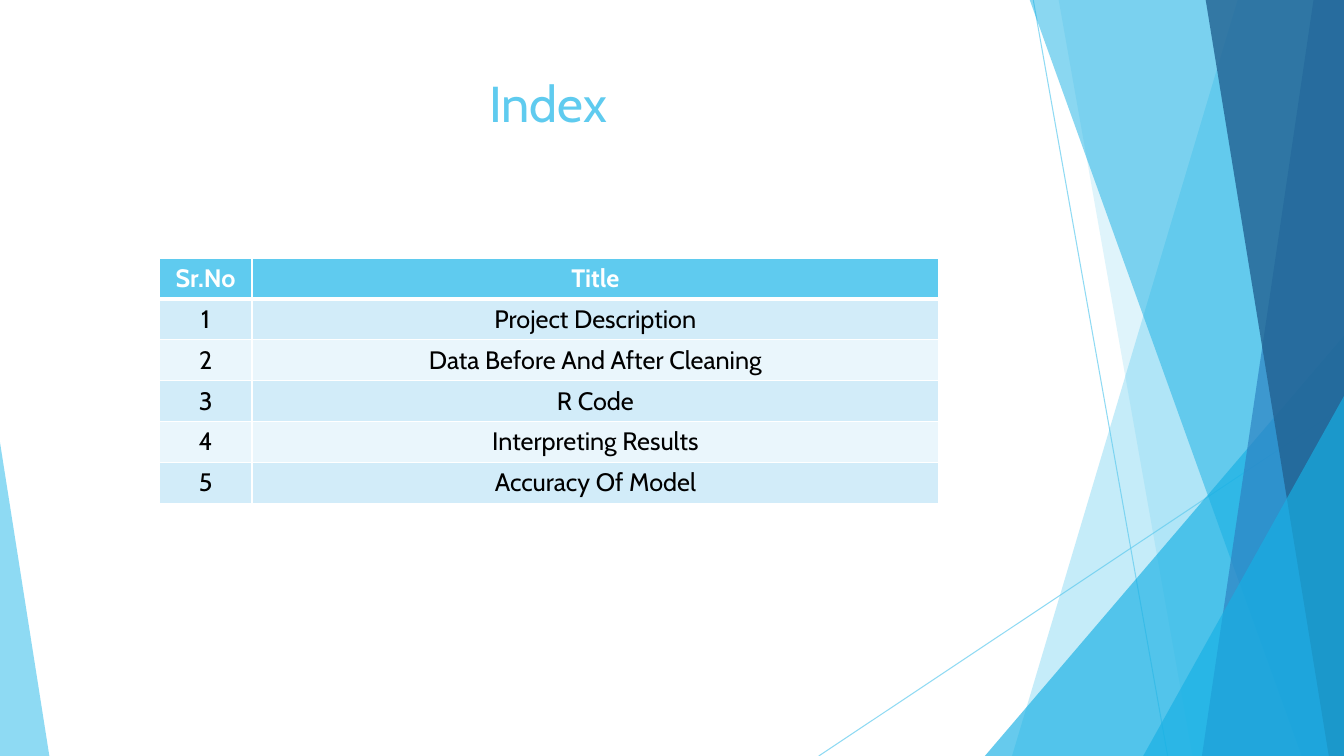
"""Builds an index slide with a table of sections and translucent blue facets."""
import pptx
import pptx.dml.color
import pptx.enum.shapes
import pptx.enum.text
import pptx.oxml
import pptx.oxml.ns
import pptx.util

RGB = pptx.dml.color.RGBColor
SKY = RGB(0x5F, 0xCB, 0xEF)
CYAN = RGB(0x17, 0xB0, 0xE4)
BLUE = RGB(0x2E, 0x83, 0xC3)
NAVY = RGB(0x22, 0x62, 0x92)
BAND_DARK = RGB(0xD2, 0xEC, 0xF9)
BAND_LIGHT = RGB(0xEA, 0xF6, 0xFC)
WHITE = RGB(0xFF, 0xFF, 0xFF)
BLACK = RGB(0, 0, 0)


class IndexSlide:
    """Style and current slide; lengths are percentages of the slide's size."""

    font = "Cabin"

    def __init__(self, deck):
        self.width, self.height = deck.slide_width, deck.slide_height
        self.slide = deck.slides.add_slide(deck.slide_layouts[5])
        self.shapes = self.slide.shapes

    def x(self, share):
        return round(self.width * share / 100)

    def y(self, share):
        return round(self.height * share / 100)

    def box(self, left, top, width, height):
        return self.x(left), self.y(top), self.x(width), self.y(height)

    def tint(self, fill, color, opacity):
        fill.solid()
        fill.fore_color.rgb = color
        shade = fill._xPr.find(".//" + pptx.oxml.ns.qn("a:srgbClr"))
        alpha = shade.makeelement(pptx.oxml.ns.qn("a:alpha"), {"val": str(opacity * 1000)})
        shade.append(alpha)

    def add_words(self, frame, words, size, color, bold=False):
        paragraph = frame.paragraphs[0]
        paragraph.alignment = pptx.enum.text.PP_ALIGN.CENTER
        run = paragraph.add_run()
        run.text = words
        run.font.name, run.font.size = self.font, pptx.util.Pt(size)
        run.font.bold, run.font.color.rgb = bold, color

    def ray(self, start, end):
        ray = self.shapes.add_connector(
            pptx.enum.shapes.MSO_CONNECTOR.STRAIGHT,
            self.x(start[0]), self.y(start[1]), self.x(end[0]), self.y(end[1]))
        ray.line.width = pptx.util.Pt(0.75)
        self.tint(ray.line.fill, SKY, 70)
        properties = ray._element.spPr
        properties.append(properties.makeelement(pptx.oxml.ns.qn("a:effectLst"), {}))

    def finish(self, facet, color, opacity):
        facet.shadow.inherit = False
        facet.line.fill.background()
        self.tint(facet.fill, color, opacity)

    def facet(self, top_x, bottom_x, color, opacity):
        top = self.y(-0.1)
        outline = self.shapes.build_freeform(self.x(top_x), top, scale=1.0)
        outline.add_line_segments([
            (self.width, top), (self.width, self.height), (self.x(bottom_x), self.height)])
        self.finish(outline.convert_to_shape(), color, opacity)

    def corner(self, left, top, width, apex, color, opacity):
        corner = self.shapes.add_shape(
            pptx.enum.shapes.MSO_SHAPE.ISOSCELES_TRIANGLE,
            *self.box(left, top, width, 100 - top))
        corner.adjustments[0] = apex
        self.finish(corner, color, opacity)

    def title(self, words, *place):
        heading = self.shapes.title
        heading.left, heading.top, heading.width, heading.height = self.box(*place)
        heading.text_frame.word_wrap = True
        heading.text_frame.vertical_anchor = pptx.enum.text.MSO_ANCHOR.TOP
        self.add_words(heading.text_frame, words, 36, SKY)
        self.shapes._spTree.append(heading._element)

    def border(self, cell, side, points):
        cell._tc.get_or_add_tcPr().append(pptx.oxml.parse_xml(
            f'<a:ln{side} {pptx.oxml.ns.nsdecls("a")} w="{pptx.util.Pt(points)}">'
            f'<a:solidFill><a:srgbClr val="{WHITE}"/></a:solidFill></a:ln{side}>'))

    def table(self, entries, left, top, column_widths, row_height):
        place = self.box(left, top, sum(column_widths), row_height * len(entries))
        grid = self.shapes.add_table(len(entries), len(column_widths), *place).table
        for column, share in zip(grid.columns, column_widths):
            column.width = self.x(share)
        for index, entry in enumerate(entries):
            header = index == 0
            band = SKY if header else BAND_DARK if index % 2 else BAND_LIGHT
            for cell, words in zip(grid.rows[index].cells, entry):
                for side in "LRTB":
                    under_header = (index, side) in ((0, "B"), (1, "T"))
                    self.border(cell, side, 3 if under_header else 1)
                cell.fill.solid()
                cell.fill.fore_color.rgb = band
                self.add_words(cell.text_frame, words, 18, WHITE if header else BLACK, header)


deck = pptx.Presentation()
deck.slide_width, deck.slide_height = pptx.util.Inches(13.33), pptx.util.Inches(7.5)
index_slide = IndexSlide(deck)

index_slide.ray((76.88, 0), (86.88, 100))
index_slide.ray((100, 53.73), (60.92, 100))
index_slide.facet(92.1, 75.3, SKY, 36)
index_slide.facet(78.76, 88.73, SKY, 20)
index_slide.corner(73.28, 44.4, 26.72, 1, CYAN, 66)
index_slide.facet(76.6, 96.84, CYAN, 50)
index_slide.facet(97.74, 89.43, BLUE, 70)
index_slide.facet(89.7, 98.87, NAVY, 80)
index_slide.corner(85.06, 52.4, 14.94, 1, CYAN, 66)
index_slide.corner(0, 58.53, 3.67, 0, SKY, 70)

index_slide.title("Index", 5.55, 8.93, 70.5, 19.2)
sections = ["Project Description", "Data Before And After Cleaning", "R Code",
            "Interpreting Results", "Accuracy Of Model"]
numbered = [(str(number), section) for number, section in enumerate(sections, 1)]
index_slide.table([("Sr.No", "Title")] + numbered, 11.85, 34.13, (6.9, 51.1), 5.4)

deck.save("out.pptx")
